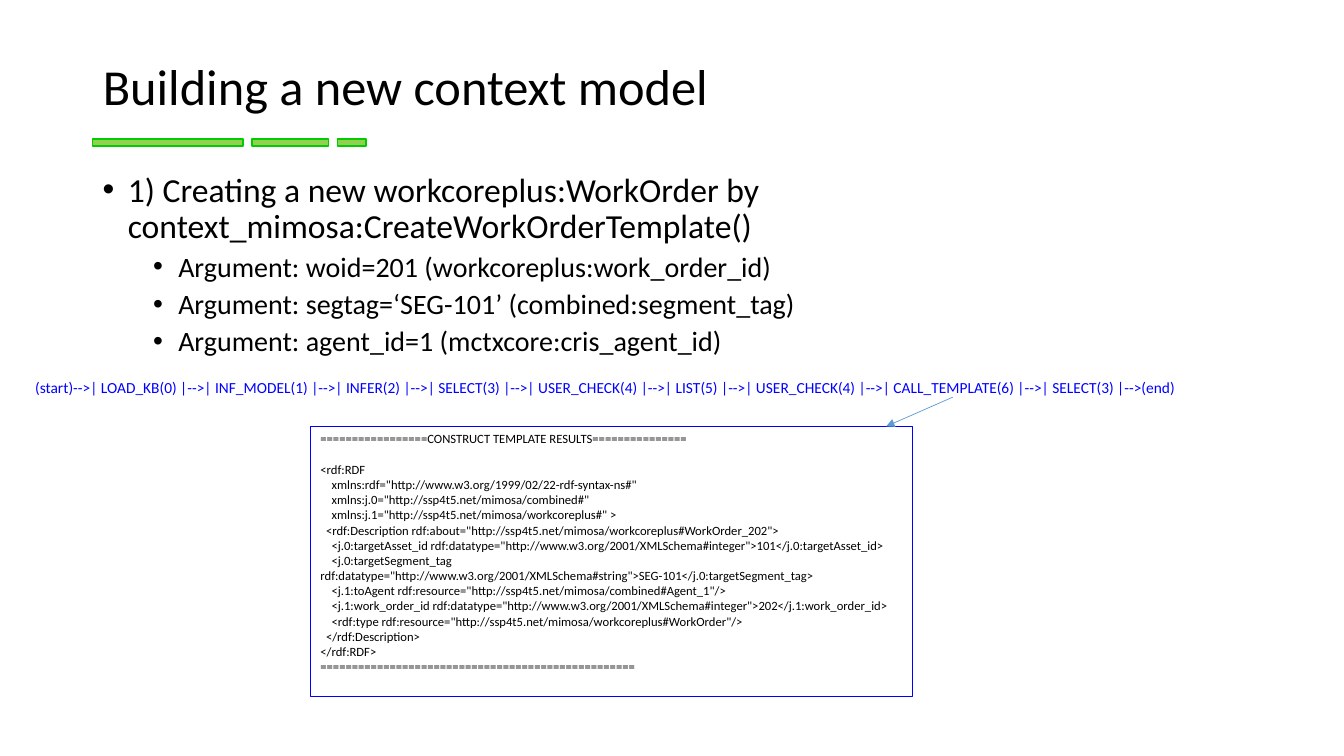
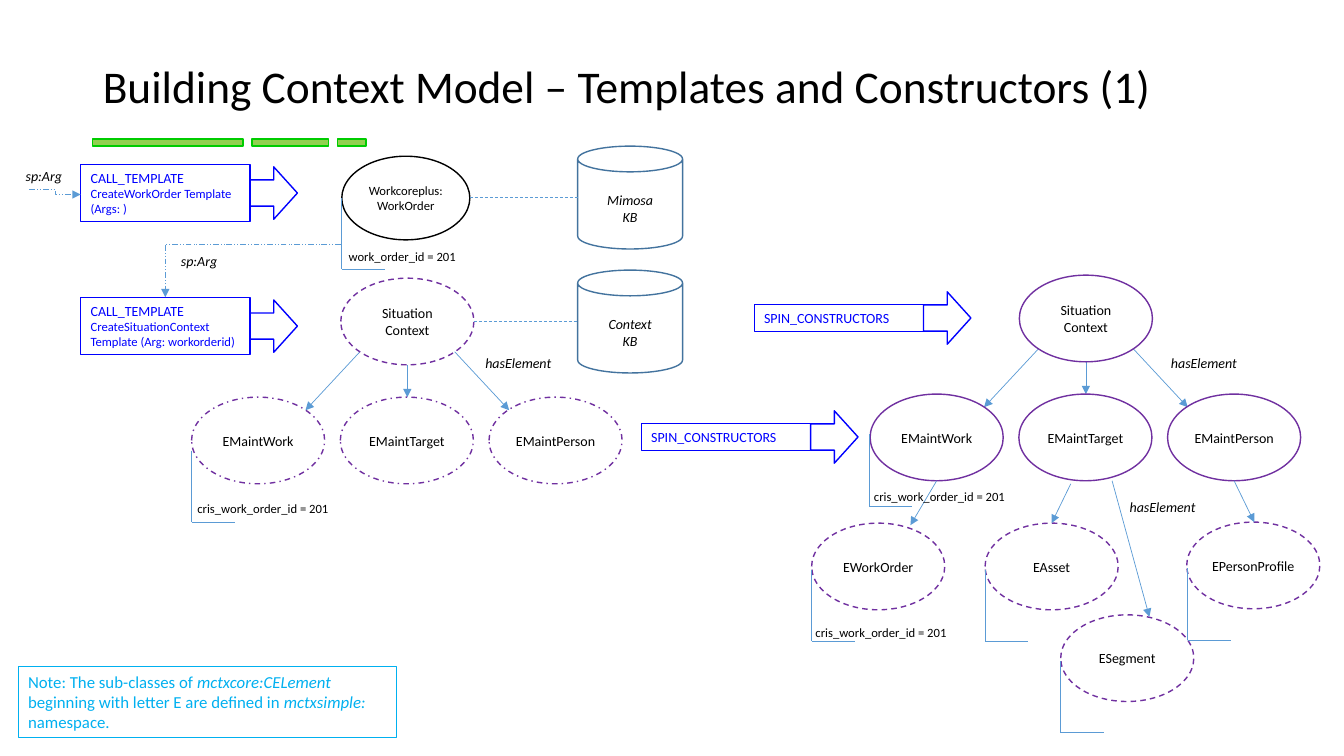
import pptx
import pptx.dml.color
import pptx.enum.dml
import pptx.enum.shapes
import pptx.enum.text
import pptx.oxml.ns
import pptx.util
from lxml import etree

Inches = pptx.util.Inches
Pt = pptx.util.Pt
SHAPE = pptx.enum.shapes.MSO_SHAPE
CONNECTOR = pptx.enum.shapes.MSO_CONNECTOR
DASH = pptx.enum.dml.MSO_LINE
ALIGN = pptx.enum.text.PP_ALIGN
ANCHOR = pptx.enum.text.MSO_ANCHOR
qn = pptx.oxml.ns.qn

FONT = "Calibri"
COLORS = {
    name: pptx.dml.color.RGBColor.from_string(value)
    for name, value in {
        "black": "000000",
        "blue": "0000FF",
        "purple": "7030A0",
        "sky": "00B0F0",
        "connector": "5B9BD5",
        "can": "43739E",
        "bar": "92D050",
        "bar edge": "00CC00",
    }.items()
}


def add_text(slide, text, left, top, width, height, geometry=None, size=10, rest_size=None,
             color="black", italic=False, align=ALIGN.LEFT, anchor=ANCHOR.TOP,
             margins=(0.1, 0.05, 0.1, 0.05), fill=None, line=None, line_width=1, dash=None):
    place = [Inches(value) for value in (left, top, width, height)]
    if geometry is None:
        shape = slide.shapes.add_textbox(*place)
    else:
        shape = slide.shapes.add_shape(geometry, *place)
        shape.shadow.inherit = False
        if fill:
            shape.fill.solid()
            shape.fill.fore_color.rgb = COLORS[fill]
        else:
            shape.fill.background()
        shape.line.color.rgb = COLORS[line]
        shape.line.width = Pt(line_width)
        if dash:
            shape.line.dash_style = dash
    frame = shape.text_frame
    frame.word_wrap = True
    frame.vertical_anchor = anchor
    frame.margin_left, frame.margin_top, frame.margin_right, frame.margin_bottom = map(Inches, margins)
    for index, content in enumerate(text.split("\n") if text else []):
        paragraph = frame.add_paragraph() if index else frame.paragraphs[0]
        paragraph.alignment = align
        for part, words in enumerate(content.split("*")):
            run = paragraph.add_run()
            run.text = words
            run.font.name = FONT
            run.font.size = Pt(rest_size if index and rest_size else size)
            run.font.italic = italic or part % 2 == 1
            run.font.color.rgb = COLORS[color]
    return shape


def add_line(slide, start, end, arrow=False, dash=None, kind=CONNECTOR.STRAIGHT):
    connector = slide.shapes.add_connector(kind, *[Inches(value) for value in (*start, *end)])
    connector.line.color.rgb = COLORS["connector"]
    connector.line.width = Pt(0.5)
    if dash:
        connector.line.dash_style = dash
    properties = connector._element.spPr
    if arrow:
        etree.SubElement(properties.find(qn("a:ln")), qn("a:tailEnd"), type="triangle")
    etree.SubElement(properties, qn("a:effectLst"))
    return connector


presentation = pptx.Presentation()
presentation.slide_width = Inches(13.33)
presentation.slide_height = Inches(7.5)

slides = []
for heading, heading_size in [
    ("Building a new context model", 36),
    ("Building Context Model – Templates and Constructors (1)", 32.4),
]:
    slide = presentation.slides.add_slide(presentation.slide_layouts[5])
    slides.append(slide)
    for left, width in [(0.92, 1.49), (2.5, 0.76), (3.35, 0.28)]:
        add_text(slide, "", left, 1.38, width, 0.07, geometry=SHAPE.RECTANGLE,
                 fill="bar", line="bar edge")
    title = slide.shapes.title
    title.left, title.top, title.width, title.height = map(Inches, (0.92, 0.4, 11.5, 0.96))
    title.text_frame.text = heading
    title.text_frame.vertical_anchor = ANCHOR.MIDDLE
    paragraph = title.text_frame.paragraphs[0]
    paragraph.alignment = ALIGN.LEFT
    paragraph.line_spacing = 0.9
    paragraph.font.name = FONT
    paragraph.font.size = Pt(heading_size)
    paragraph.font.color.rgb = COLORS["black"]

model_slide, template_slide = slides

steps = add_text(
    model_slide,
    "1) Creating a new workcoreplus:WorkOrder by context_mimosa:CreateWorkOrderTemplate()\n"
    "Argument: woid=201 (workcoreplus:work_order_id)\n"
    "Argument: segtag=‘SEG-101’ (combined:segment_tag)\n"
    "Argument: agent_id=1 (mctxcore:cris_agent_id)",
    0.92, 1.67, 11.5, 2, size=24, rest_size=20)
for index, paragraph in enumerate(steps.text_frame.paragraphs):
    level = min(index, 1)
    paragraph.level = level
    paragraph.line_spacing = 0.9
    paragraph.space_before = Pt(5 if level else 10)
    properties = paragraph._p.get_or_add_pPr()
    properties.set("marL", str(Inches(0.25 + 0.5 * level)))
    properties.set("indent", str(Inches(-0.25)))
    etree.SubElement(properties, qn("a:buFont"), typeface="Arial")
    etree.SubElement(properties, qn("a:buChar"), char="•")

add_text(
    model_slide,
    "(start)-->| LOAD_KB(0) |-->| INF_MODEL(1) |-->| INFER(2) |-->| SELECT(3) |-->| USER_CHECK(4) "
    "|-->| LIST(5) |-->| USER_CHECK(4) |-->| CALL_TEMPLATE(6) |-->| SELECT(3) |-->(end)",
    0.25, 3.7, 11.64, 0.29, size=11, color="blue")

result_lines = [
    (0, "=================CONSTRUCT TEMPLATE RESULTS==============="),
    (0, "<rdf:RDF"),
    (2, 'xmlns:rdf="http://www.w3.org/1999/02/22-rdf-syntax-ns#"'),
    (2, 'xmlns:j.0="http://ssp4t5.net/mimosa/combined#"'),
    (2, 'xmlns:j.1="http://ssp4t5.net/mimosa/workcoreplus#" >'),
    (1, '<rdf:Description rdf:about="http://ssp4t5.net/mimosa/workcoreplus#WorkOrder_202">'),
    (2, '<j.0:targetAsset_id rdf:datatype="http://www.w3.org/2001/XMLSchema#integer">101</j.0:targetAsset_id>'),
    (2, '<j.0:targetSegment_tag rdf:datatype="http://www.w3.org/2001/XMLSchema#string">SEG-101</j.0:targetSegment_tag>'),
    (2, '<j.1:toAgent rdf:resource="http://ssp4t5.net/mimosa/combined#Agent_1"/>'),
    (2, '<j.1:work_order_id rdf:datatype="http://www.w3.org/2001/XMLSchema#integer">202</j.1:work_order_id>'),
    (2, '<rdf:type rdf:resource="http://ssp4t5.net/mimosa/workcoreplus#WorkOrder"/>'),
    (1, "</rdf:Description>"),
    (0, "</rdf:RDF>"),
    (0, "=================================================="),
]
results = add_text(model_slide, "\n".join(content for depth, content in result_lines),
                   3.08, 4.23, 5.97, 2.68, geometry=SHAPE.RECTANGLE, size=9,
                   line="blue", line_width=0.75)
for paragraph, (depth, content) in zip(results.text_frame.paragraphs, result_lines):
    paragraph._p.get_or_add_pPr().set("indent", str(Pt(4 * depth)))
results.text_frame.paragraphs[1].space_before = Pt(11)
add_line(model_slide, (9.45, 3.94), (8.79, 4.23), arrow=True)

ellipses = [("Workcoreplus: WorkOrder", 3.39, 1.55, 1.27, 0.83, 9, "black", None)]
for left, top, root_dash, child_dash in [
    (1.9, 2.76, DASH.DASH, DASH.DASH_DOT),
    (8.63, 2.73, None, None),
]:
    ellipses.append(("Situation Context", left + 1.48, top, 1.32, 0.86, 10, "purple", root_dash))
    for index, name in enumerate(["EMaintWork", "EMaintTarget", "EMaintPerson"]):
        ellipses.append((name, left + 1.475 * index, top + 1.18, 1.32, 0.86, 10, "purple", child_dash))
    for start_x, start_y, end_x, end_y in [
        (1.67, 0.73, 1.13, 1.31), (2.14, 0.86, 2.14, 1.18), (2.61, 0.73, 3.15, 1.31),
    ]:
        add_line(template_slide, (left + start_x, top + start_y), (left + end_x, top + end_y), arrow=True)

for name, left, top in [
    ("EWorkOrder", 8.05, 5.19), ("EAsset", 9.77, 5.19),
    ("ESegment", 10.52, 6.1), ("EPersonProfile", 11.77, 5.18),
]:
    ellipses.append((name, left, top, 1.32, 0.86, 10, "purple", DASH.DASH))
for name, left, top, width, height, size, line, dash in ellipses:
    add_text(template_slide, name, left, top, width, height, geometry=SHAPE.OVAL, size=size,
             align=ALIGN.CENTER, anchor=ANCHOR.MIDDLE, margins=(0.04, 0, 0.04, 0),
             line=line, dash=dash)

for start, end in [
    ((9.29, 4.77), (9.03, 5.21)), ((10.62, 4.8), (10.43, 5.19)),
    ((11.03, 4.77), (11.4, 6.12)), ((12.24, 4.77), (12.44, 5.18)),
]:
    add_line(template_slide, start, end, arrow=True)

for left, top in [
    (3.39, 1.96), (1.9, 4.47), (8.62, 4.31), (8.05, 5.65),
    (9.77, 5.65), (10.52, 6.56), (11.78, 5.64),
]:
    corner = (left, top + 0.71)
    add_line(template_slide, (left, top), corner)
    add_line(template_slide, corner, (left + 0.43, top + 0.71))

for text, left, top in [
    ("work_order_id = 201", 3.36, 2.42),
    ("cris_work_order_id = 201", 1.86, 4.92),
    ("cris_work_order_id = 201", 8.57, 4.8),
    ("cris_work_order_id = 201", 7.99, 6.15),
]:
    add_text(template_slide, text, left, top, 1.57, 0.25, size=9)

for text, left, top, width in [
    ("hasElement", 4.63, 3.47, 1.02), ("hasElement", 11.43, 3.47, 1.02),
    ("hasElement", 11.02, 4.9, 1.02), ("sp:Arg", 0.07, 1.61, 0.73), ("sp:Arg", 1.61, 2.46, 0.73),
]:
    add_text(template_slide, text, left, top, width, 0.27, italic=True, align=ALIGN.CENTER)

for text, left, top, height in [
    ("CALL_TEMPLATE\nCreateWorkOrder Template (Args: )", 0.8, 1.63, 0.57),
    ("CALL_TEMPLATE\nCreateSituationContext Template (Arg: workorderid)", 0.8, 2.95, 0.57),
    ("SPIN_CONSTRUCTORS", 7.48, 3.02, 0.27),
    ("SPIN_CONSTRUCTORS", 6.36, 4.2, 0.27),
]:
    add_text(template_slide, text, left, top, 1.68, height, geometry=SHAPE.RECTANGLE,
             rest_size=9, color="blue", line="blue", line_width=0.75)
    add_text(template_slide, "", left + 1.68, top + height / 2 - 0.26, 0.47, 0.52,
             geometry=SHAPE.RIGHT_ARROW, line="blue")

for name, top, link_left, link_y in [("Mimosa", 1.45, 4.66, 1.96), ("Context", 2.68, 4.7, 3.19)]:
    add_text(template_slide, name + "\nKB", 5.73, top, 1.04, 1.02, geometry=SHAPE.CAN, italic=True,
             align=ALIGN.CENTER, anchor=ANCHOR.MIDDLE, margins=(0.1, 0.08, 0.1, 0), line="can")
    add_line(template_slide, (link_left, link_y), (5.73, link_y), dash=DASH.DASH)

add_line(template_slide, (0.29, 1.88), (0.8, 1.93), arrow=True,
         dash=DASH.DASH_DOT_DOT, kind=CONNECTOR.ELBOW)
order_argument = add_line(template_slide, (3.38, 2.42), (1.64, 2.95), arrow=True,
                          dash=DASH.DASH_DOT_DOT, kind=CONNECTOR.ELBOW)
order_argument._element.spPr.find(qn("a:prstGeom")).set("prst", "bentConnector2")

add_text(
    template_slide,
    "Note: The sub-classes of *mctxcore:CELement *beginning with letter E are defined in "
    "*mctxsimple: *namespace.",
    0.18, 6.61, 3.75, 0.71, geometry=SHAPE.RECTANGLE, size=12, color="sky",
    line="sky", line_width=0.75)

presentation.save("out.pptx")
